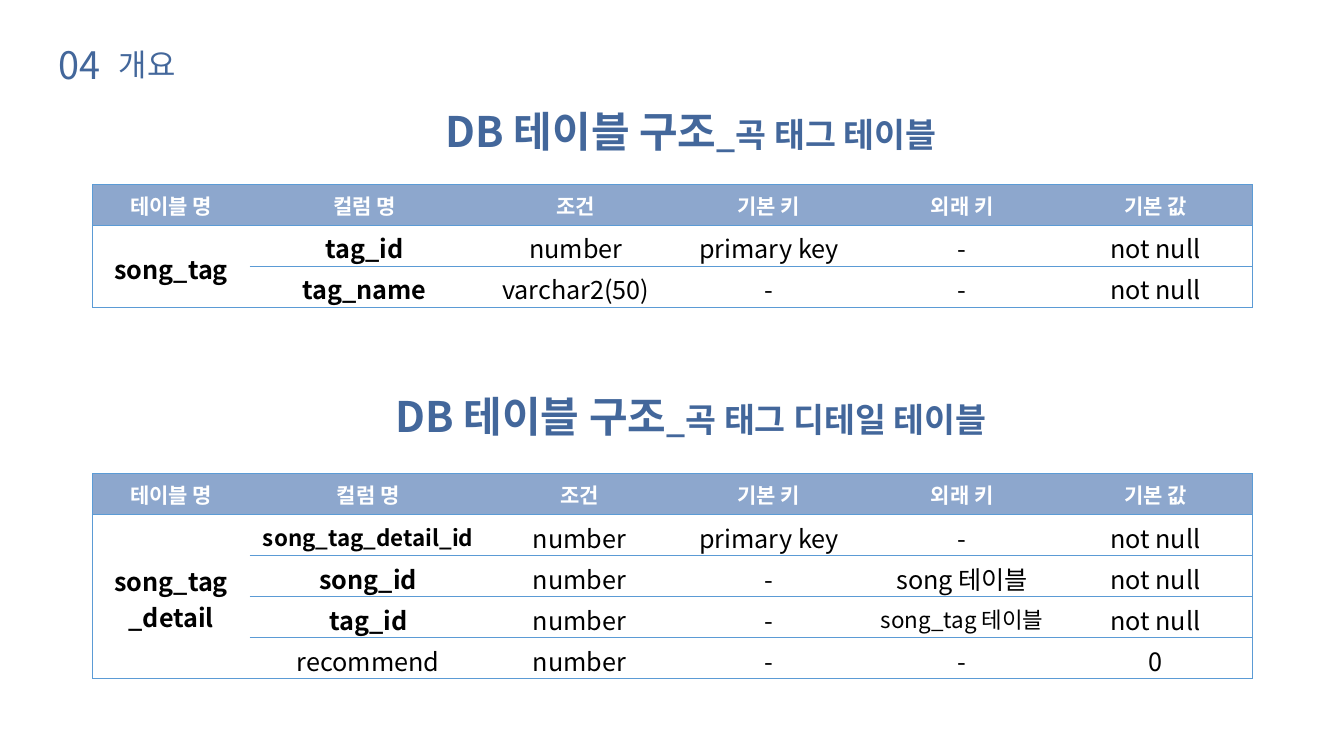
from dataclasses import dataclass

from lxml import etree
from pptx import Presentation
from pptx.dml.color import RGBColor
from pptx.enum.text import MSO_ANCHOR, MSO_AUTO_SIZE, PP_ALIGN
from pptx.oxml.ns import qn
from pptx.util import Inches, Pt

CENTER, LEFT = PP_ALIGN.CENTER, PP_ALIGN.LEFT
MIDDLE, GROW = MSO_ANCHOR.MIDDLE, MSO_AUTO_SIZE.SHAPE_TO_FIT_TEXT
FONT = "Noto Sans CJK KR"
BLUE, EDGE, HEAD, LINE = "43679B", "2B538E", "8DA7CD", "5B9BD5"
WHITE, BLACK = "FFFFFF", "000000"
PLAIN = "{2D5ABB26-0587-4C30-8999-92F81FD0307C}"
WIDE, HIGH = Inches(13.333), Inches(7.5)
ROW = 5.42  # table row, percent of slide height
HEADS = ["테이블 명", "컬럼 명", "조건", "기본 키", "외래 키", "기본 값"]


@dataclass
class Run:
    text: str
    size: float
    bold: bool = False
    color: str = BLACK
    edge: bool = False


@dataclass
class Label:
    """Text box placed in percent of the slide."""
    x: float
    y: float
    w: float
    h: float
    runs: list[Run]
    align: PP_ALIGN = LEFT
    wrap: bool = True


@dataclass
class Grid:
    """Table whose first column is one merged name cell."""
    y: float
    cols: list[float]
    name: list[str]
    rows: list[list[Run]]


def across(pct: float) -> int:
    return round(WIDE * pct / 100)


def down(pct: float) -> int:
    return round(HIGH * pct / 100)


def rgb(code: str) -> RGBColor:
    return RGBColor.from_string(code)


def stroke(parent, tag: str, pts: float, color: str, spot: int, alpha: int = 100) -> None:
    """Insert a solid line element as child number spot."""
    line = etree.Element(qn(tag), w=str(Pt(pts)))
    fill = etree.SubElement(line, qn("a:solidFill"))
    tone = etree.SubElement(fill, qn("a:srgbClr"), val=color)
    if alpha < 100:
        etree.SubElement(tone, qn("a:alpha"), val=str(alpha * 1000))
    parent.insert(spot, line)


def write(para, part: Run) -> None:
    run = para.add_run()
    run.text = part.text
    font = run.font
    font.size, font.bold, font.name = Pt(part.size), part.bold, FONT
    font.color.rgb = rgb(part.color)
    props = run._r.get_or_add_rPr()
    props.find(qn("a:latin")).addnext(etree.Element(qn("a:ea"), typeface=FONT))
    if part.edge:
        stroke(props, "a:ln", 0.75, EDGE, 0, 20)


def place(slide, label: Label) -> None:
    box = slide.shapes.add_textbox(
        across(label.x), down(label.y), across(label.w), down(label.h))
    frame = box.text_frame
    frame.word_wrap, frame.auto_size = label.wrap, GROW
    frame.margin_top = frame.margin_bottom = 0
    para = frame.paragraphs[0]
    para.alignment = label.align
    for part in label.runs:
        write(para, part)


def fill(cell, lines: list[Run], body: bool) -> None:
    cell.vertical_anchor = MIDDLE
    if body:
        cell.margin_top, cell.margin_bottom = Inches(0.04), 0
        cell.fill.background()
    else:
        cell.fill.solid()
        cell.fill.fore_color.rgb = rgb(HEAD)
    frame = cell.text_frame
    for i, part in enumerate(lines):
        para = frame.add_paragraph() if i else frame.paragraphs[0]
        para.alignment = CENTER
        write(para, part)


def border(cell, r: int, c: int, last: int) -> None:
    """Rule the outside and every body row beside the name."""
    sides = {
        "a:lnL": c == 0,
        "a:lnR": c == len(HEADS) - 1,
        "a:lnT": r < 2 or c > 0,
        "a:lnB": c > 0 or r in (0, 1, last),
    }
    drawn = [tag for tag, on in sides.items() if on]
    for spot, tag in enumerate(drawn):
        stroke(cell._tc.get_or_add_tcPr(), tag, 0.5, LINE, spot)


def build(slide, grid: Grid) -> None:
    last = len(grid.rows)
    frame = slide.shapes.add_table(
        last + 1, len(HEADS), across(6.9), down(grid.y),
        across(sum(grid.cols)), down(ROW * (last + 1)))
    table = frame.table
    table._tbl.tblPr.find(qn("a:tableStyleId")).text = PLAIN
    table.horz_banding = False
    for col, width in zip(table.columns, grid.cols):
        col.width = across(width)
    for row in table.rows:
        row.height = down(ROW)
    table.cell(1, 0).merge(table.cell(last, 0))
    for c, head in enumerate(HEADS):
        fill(table.cell(0, c), [Run(head, 15, True, WHITE)], False)
    fill(table.cell(1, 0), [Run(text, 18, True) for text in grid.name], True)
    for r, row in enumerate(grid.rows, 1):
        for c, part in enumerate(row, 1):
            fill(table.cell(r, c), [part], True)
    for r in range(last + 1):
        for c in range(len(HEADS)):
            border(table.cell(r, c), r, c, last)


def field(name: Run, *rest: str) -> list[Run]:
    """One body row; the longer table link is set smaller."""
    return [name] + [Run(t, 16 if t == "song_tag 테이블" else 18) for t in rest]


def title(y: float, tail: str) -> Label:
    runs = [Run("DB 테이블 구조", 30, True, BLUE, True),
            Run(tail, 24, True, BLUE, True)]
    return Label(26.48, y, 49.88, 8.13, runs, CENTER)


LABELS = [
    title(51.6, "_곡 태그 디테일 테이블"),
    title(14, "_곡 태그 테이블"),
    Label(3.6, 5.47, 5.18, 7.47, [Run("04", 27, False, BLUE, True)], wrap=False),
    Label(8.1, 6, 5.85, 6.27, [Run("개요", 22, False, BLUE, True)]),
]
GRIDS = [
    Grid(24.4, [11.68, 17.07] + [14.38] * 4, ["song_tag"], [
        field(Run("tag_id", 18, True), "number", "primary key", "-", "not null"),
        field(Run("tag_name", 18, True), "varchar2(50)", "-", "-", "not null"),
    ]),
    Grid(62.67, [11.68, 17.63, 13.82] + [14.38] * 3, ["song_tag", "_detail"], [
        field(Run("song_tag_detail_id", 16, True),
              "number", "primary key", "-", "not null"),
        field(Run("song_id", 18, True), "number", "-", "song 테이블", "not null"),
        field(Run("tag_id", 18, True), "number", "-", "song_tag 테이블", "not null"),
        field(Run("recommend", 18), "number", "-", "-", "0"),
    ]),
]


def main() -> None:
    deck = Presentation()
    deck.slide_width, deck.slide_height = WIDE, HIGH
    slide = deck.slides.add_slide(deck.slide_layouts[6])
    for label in LABELS:
        place(slide, label)
    for grid in GRIDS:
        build(slide, grid)
    deck.save("out.pptx")


if __name__ == "__main__":
    main()
